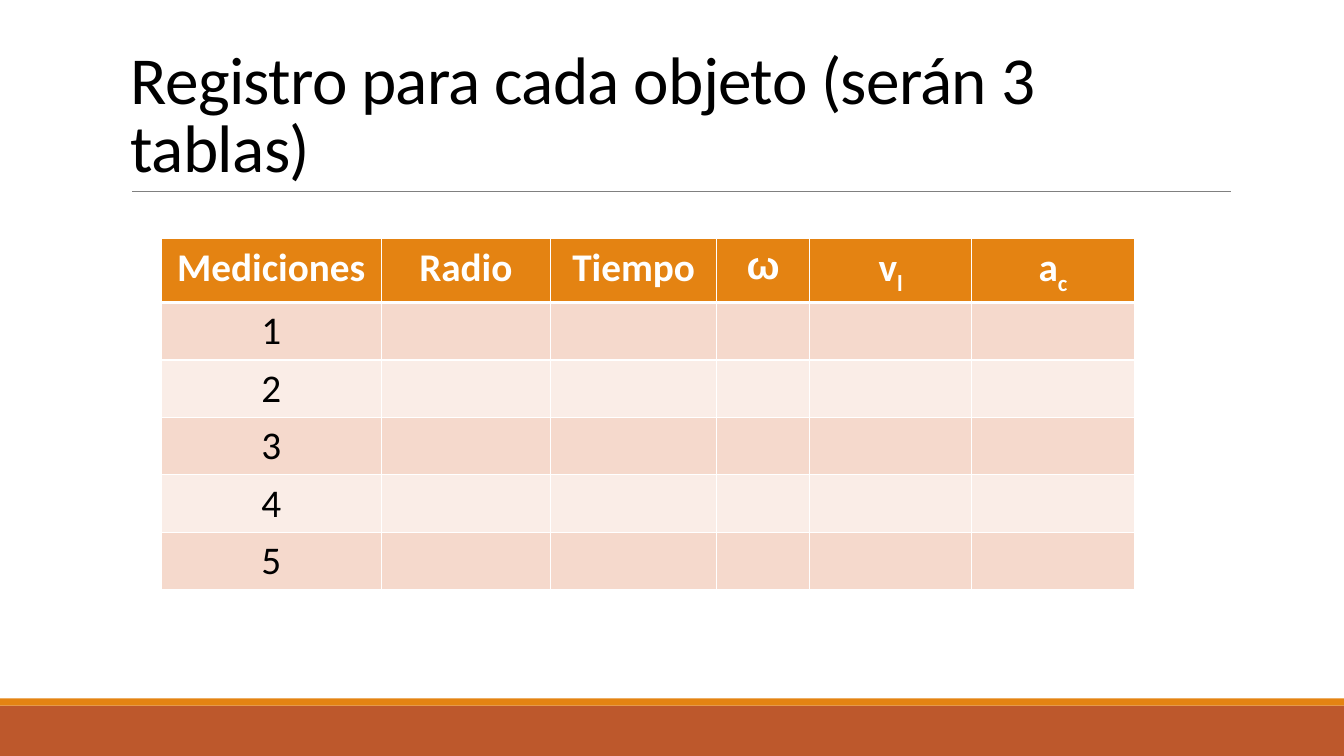
import pptx
import pptx.util
import pptx.dml.color
import pptx.enum.shapes
import pptx.enum.text
import pptx.oxml.ns
from lxml import etree

Inches, Pt = pptx.util.Inches, pptx.util.Pt
RGBColor = pptx.dml.color.RGBColor
qn = pptx.oxml.ns.qn
PP_ALIGN = pptx.enum.text.PP_ALIGN

TITLE = "Registro para cada objeto (serán 3 tablas)"
HEADERS = [
    ("Mediciones", "", "Calibri"),
    ("Radio", "", "Calibri"),
    ("Tiempo", "", "Calibri"),
    ("ω", "", "Arial"),
    ("v", "l", "Calibri"),
    ("a", "c", "Calibri"),
]
MEASUREMENTS = ["1", "2", "3", "4", "5"]
COL_WIDTHS = [2.18, 1.68, 1.65, 0.92, 1.61, 1.61]
HEADER_HEIGHT, ROW_HEIGHT = 0.62, 0.57

BLACK = RGBColor(0x00, 0x00, 0x00)
WHITE = RGBColor(0xFF, 0xFF, 0xFF)
GRAY = RGBColor(0x80, 0x80, 0x80)
ORANGE = RGBColor(0xE4, 0x83, 0x12)
RUST = RGBColor(0xBD, 0x58, 0x2C)
BANDS = [RGBColor(0xF5, 0xD9, 0xCC), RGBColor(0xFA, 0xED, 0xE7)]

FOOTER_BARS = [(7, 0.5, RUST), (6.93, 0.07, ORANGE)]


def add_run(p, text, size, color, font="Calibri", bold=False):
    r = p.add_run()
    r.text = text
    r.font.size = Pt(size)
    r.font.name = font
    r.font.bold = bold
    r.font.color.rgb = color
    return r


def set_borders(cell, bottom):
    tcPr = cell._tc.get_or_add_tcPr()
    for side, width in (("L", 1), ("R", 1), ("T", 1), ("B", bottom)):
        ln = etree.SubElement(tcPr, qn("a:ln" + side), w=str(Pt(width)))
        fill = etree.SubElement(ln, qn("a:solidFill"))
        etree.SubElement(fill, qn("a:srgbClr"), val=str(WHITE))


def add_footer(s):
    for top, height, color in FOOTER_BARS:
        sp = s.shapes.add_shape(pptx.enum.shapes.MSO_SHAPE.RECTANGLE,
                                0, Inches(top), Inches(13.33), Inches(height))
        sp.shadow.inherit = False
        sp.fill.solid()
        sp.fill.fore_color.rgb = color
        sp.line.fill.background()


def add_title(s):
    rule = s.shapes.add_connector(pptx.enum.shapes.MSO_CONNECTOR.STRAIGHT,
                                  Inches(1.31), Inches(1.9), Inches(12.21), Inches(1.9))
    rule.line.color.rgb = GRAY
    rule.line.width = Pt(0.5)
    etree.SubElement(rule._element.spPr, qn("a:effectLst"))

    sp = s.shapes.add_textbox(Inches(1.2), Inches(0.31), Inches(11), Inches(1.59))
    tf = sp.text_frame
    tf.word_wrap = True
    tf.vertical_anchor = pptx.enum.text.MSO_ANCHOR.BOTTOM
    p = tf.paragraphs[0]
    p.line_spacing = 0.85
    r = add_run(p, TITLE, 48, BLACK)
    r.font._element.set("spc", "-50")


def add_log_table(s):
    heights = [HEADER_HEIGHT] + [ROW_HEIGHT] * len(MEASUREMENTS)
    frame = s.shapes.add_table(len(heights), len(COL_WIDTHS), Inches(1.6), Inches(2.37),
                               Inches(sum(COL_WIDTHS)), Inches(sum(heights)))
    table = frame.table
    for column, width in zip(table.columns, COL_WIDTHS):
        column.width = Inches(width)
    for i, height in enumerate(heights):
        table.rows[i].height = Inches(height)
        for cell in table.rows[i].cells:
            set_borders(cell, 3 if i == 0 else 1)
            cell.fill.solid()
            cell.fill.fore_color.rgb = ORANGE if i == 0 else BANDS[(i - 1) % 2]

    for j, (text, subscript, font) in enumerate(HEADERS):
        p = table.cell(0, j).text_frame.paragraphs[0]
        p.alignment = PP_ALIGN.CENTER
        add_run(p, text, 28, WHITE, font, True)
        if subscript:
            r = add_run(p, subscript, 28, WHITE, font, True)
            r.font._element.set("baseline", "-25000")
    for i, text in enumerate(MEASUREMENTS, 1):
        p = table.cell(i, 0).text_frame.paragraphs[0]
        p.alignment = PP_ALIGN.CENTER
        add_run(p, text, 28, BLACK)


def main():
    prs = pptx.Presentation()
    prs.slide_width, prs.slide_height = Inches(13.33), Inches(7.5)
    s = prs.slides.add_slide(prs.slide_layouts[6])
    add_footer(s)
    add_title(s)
    add_log_table(s)
    prs.save("out.pptx")


if __name__ == "__main__":
    main()
